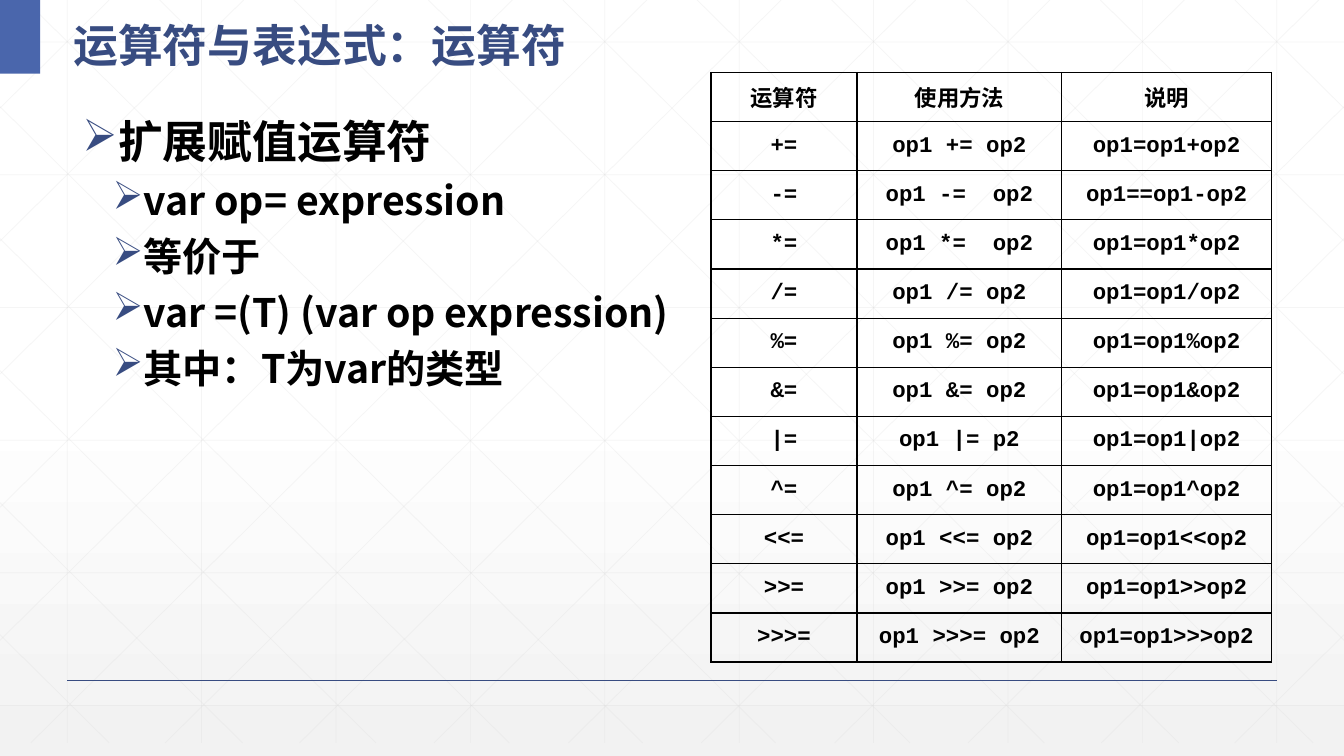
from copy import deepcopy

from lxml.etree import SubElement
from pptx import Presentation
from pptx.dml.color import RGBColor as RGB
from pptx.enum.shapes import MSO_CONNECTOR as CONN, MSO_SHAPE as SHAPE
from pptx.enum.text import MSO_ANCHOR as ANCHOR, PP_ALIGN as ALIGN
from pptx.oxml.ns import qn
from pptx.util import Pt

WIDTH, HEIGHT = 960, 540
GRID_BOTTOM, SLOPE = 530.6, 0.99
SANS, MONO = "Noto Sans CJK SC", "Courier New"
COLORS = {"white": "FFFFFF", "fade": "F2F2F2", "grid": "D9D9D9",
          "navy": "384C81", "blue": "4A66AC", "text": "000000"}

TITLE = "运算符与表达式：运算符"
POINTS = [
    (0, "扩展赋值运算符"),
    (1, "var op= expression"),
    (1, "等价于"),
    (1, "var =(T) (var op expression)"),
    (1, "其中：T为var的类型"),
]
LEVELS = [
    {"size": 32, "before": 18, "left": 18, "hang": 18},
    {"size": 28, "before": 12, "left": 36, "hang": 14.4},
]
COLUMNS = [104.4, 146.2, 149.8]
ROWS = [
    ("运算符", "使用方法", "说明"),
    ("+=", "op1 += op2", "op1=op1+op2"),
    ("-=", "op1 -=  op2", "op1==op1-op2"),
    ("*=", "op1 *=  op2", "op1=op1*op2"),
    ("/=", "op1 /= op2", "op1=op1/op2"),
    ("%=", "op1 %= op2", "op1=op1%op2"),
    ("&=", "op1 &= op2", "op1=op1&op2"),
    ("|=", "op1 |= p2", "op1=op1|op2"),
    ("^=", "op1 ^= op2", "op1=op1^op2"),
    ("<<=", "op1 <<= op2", "op1=op1<<op2"),
    (">>=", "op1 >>= op2", "op1=op1>>op2"),
    (">>>=", "op1 >>>= op2", "op1=op1>>>op2"),
]


def rgb(name):
    """Return the named colour."""
    return RGB.from_string(COLORS[name])


def add_line(shapes, ends, color, width, alpha=None):
    """Draw a straight line between two points."""
    c = shapes.add_connector(CONN.STRAIGHT, *map(Pt, ends))
    c.line.width = Pt(width)
    c.line.color.rgb = rgb(color)
    if alpha:
        clr = next(c.line._get_or_add_ln().iter(qn("a:srgbClr")))
        SubElement(clr, qn("a:alpha"), val=str(alpha * 1000))
    SubElement(c._element.spPr, qn("a:effectLst"))


def write(p, text, color, size, font=SANS):
    """Add a bold run to a paragraph."""
    r = p.add_run()
    r.text = text
    fmt = {"name": font, "size": Pt(size), "bold": True}
    for key, value in fmt.items():
        setattr(r.font, key, value)
    r.font.color.rgb = rgb(color)
    SubElement(r._r.get_or_add_rPr(), qn("a:ea"), typeface=SANS)


def add_frame(s, box, top, anchor):
    """Add a wrapping text box and return its text frame."""
    tf = s.shapes.add_textbox(*map(Pt, box)).text_frame
    fmt = {"word_wrap": True, "vertical_anchor": anchor,
           "margin_top": Pt(top), "margin_bottom": Pt(3.6)}
    for key, value in fmt.items():
        setattr(tf, key, value)
    return tf


def add_background(s):
    """Fade the background from white to light grey."""
    fill = s.background.fill
    fill.gradient()
    fill.gradient_angle = 270
    first = next(s.element.iter(qn("a:gs")))
    first.addnext(deepcopy(first))
    stops = [(0, "white"), (0.53, "white"), (1, "fade")]
    for stop, (position, color) in zip(fill.gradient_stops, stops):
        stop.position = position
        stop.color.rgb = rgb(color)
    last = list(s.element.iter(qn("a:srgbClr")))[-1]
    SubElement(last, qn("a:alpha"), val="65000")


def add_grid(s):
    """Draw the faint upright, level and mirrored diagonal lines."""
    lines = [(48 + 96 * i, 0, 48 + 96 * i, GRID_BOTTOM) for i in range(10)]
    lines += [(0, 30 + 94.8 * i, WIDTH, 30 + 94.8 * i) for i in range(6)]
    diagonals = []
    for i in range(10):
        x = 18 + 96 * i
        run = min(GRID_BOTTOM / SLOPE, WIDTH - x)
        diagonals.append((x, 0, x + run, run * SLOPE))
    for i in range(5):
        x = 459 - 95.25 * i
        diagonals.append((x, GRID_BOTTOM, 0, GRID_BOTTOM - x * SLOPE))
    lines += diagonals
    lines += [(WIDTH - x1, y1, WIDTH - x2, y2) for x1, y1, x2, y2 in diagonals]
    group = s.shapes.add_group_shape()
    for ends in lines:
        add_line(group.shapes, ends, "grid", 0.5, 25)


def add_title(s, left, top, width, height):
    """Place the corner block and the title beside it."""
    sp = s.shapes.add_shape(SHAPE.RECTANGLE, Pt(left), Pt(top), Pt(28.8), Pt(height))
    sp.shadow.inherit = False
    sp.fill.solid()
    sp.fill.fore_color.rgb = rgb("blue")
    sp.line.fill.background()
    tf = add_frame(s, (left + 45.2, top, width - 45.2, height), 3.6, ANCHOR.MIDDLE)
    p = tf.paragraphs[0]
    p.line_spacing = 1.3
    write(p, TITLE, "navy", 32)


def add_points(s, left, top, width, height):
    """Place the bulleted list."""
    tf = add_frame(s, (left, top, width, height), 7.2, ANCHOR.TOP)
    for i, (level, text) in enumerate(POINTS):
        p = tf.add_paragraph() if i else tf.paragraphs[0]
        look = LEVELS[level]
        fmt = {"level": level, "line_spacing": 0.83, "space_before": Pt(look["before"])}
        for key, value in fmt.items():
            setattr(p, key, value)
        pPr = p._p.get_or_add_pPr()
        pPr.set("marL", str(Pt(look["left"])))
        pPr.set("indent", str(-Pt(look["hang"])))
        clr = SubElement(pPr, qn("a:buClr"))
        SubElement(clr, qn("a:srgbClr"), val=COLORS["navy"])
        SubElement(pPr, qn("a:buChar"), char="➢")
        write(p, text, "text", look["size"])


def add_borders(cell):
    """Give a cell thin black borders."""
    tcPr = cell._tc.get_or_add_tcPr()
    for side in ("lnL", "lnR", "lnT", "lnB"):
        ln = SubElement(tcPr, qn("a:" + side), w=str(Pt(1)))
        fill = SubElement(ln, qn("a:solidFill"))
        SubElement(fill, qn("a:srgbClr"), val=COLORS["text"])


def add_operators(s, left, top, width, height):
    """Place the table of operators."""
    box = map(Pt, (left, top, width, height))
    table = s.shapes.add_table(len(ROWS), len(COLUMNS), *box).table
    table.first_row = table.horz_banding = False
    for column, size in zip(table.columns, COLUMNS):
        column.width = Pt(size)
    for i, texts in enumerate(ROWS):
        table.rows[i].height = Pt(height / len(ROWS))
        for j, text in enumerate(texts):
            cell = table.cell(i, j)
            add_borders(cell)
            cell.fill.background()
            cell.vertical_anchor = ANCHOR.MIDDLE
            p = cell.text_frame.paragraphs[0]
            p.alignment = ALIGN.CENTER
            write(p, text, "text", 16, MONO if i else SANS)


def main():
    """Build and save the slide."""
    prs = Presentation()
    prs.slide_width, prs.slide_height = Pt(WIDTH), Pt(HEIGHT)
    s = prs.slides.add_slide(prs.slide_layouts[6])
    add_background(s)
    add_grid(s)
    add_line(s.shapes, (48, 486, 912, 486), "navy", 1)
    add_title(s, 0, 0, 455, 52.6)
    add_points(s, 51.8, 80.6, 845.3, 397.4)
    add_operators(s, 507.8, 51.8, sum(COLUMNS), 421.2)
    prs.save("out.pptx")


if __name__ == "__main__":
    main()
